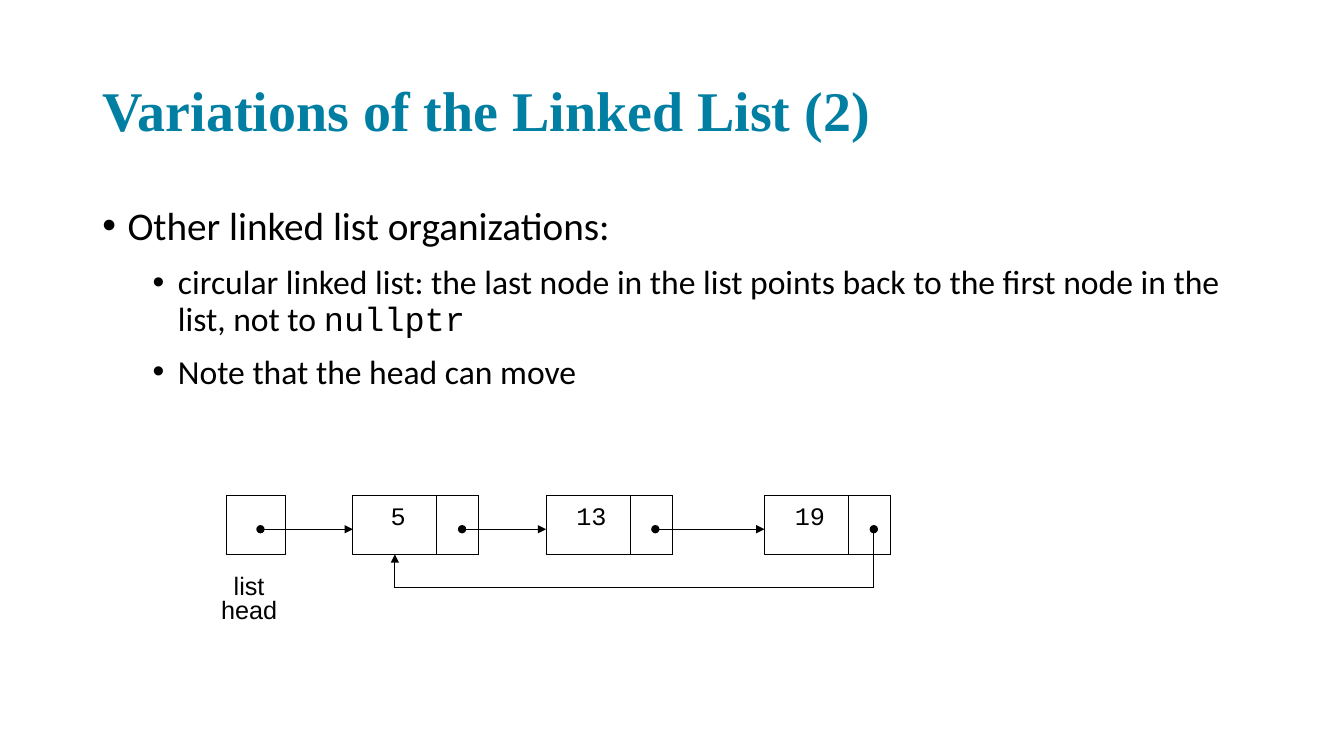
from dataclasses import dataclass

from lxml import etree
from pptx import Presentation
from pptx import util as u
from pptx.dml.color import RGBColor
from pptx.enum import shapes, text
from pptx.oxml.ns import qn


@dataclass
class Theme:
    teal: str = "007FA3"
    black: str = "000000"
    heading: str = "Times New Roman"
    body: str = "Calibri"
    code: str = "Courier New"
    label: str = "Arial"
    title_pt: int = 40
    main_pt: int = 28
    sub_pt: int = 24
    label_pt: int = 18
    line_pt: float = 0.75


class Deck:
    UNIT = u.Inches(1 / 12)

    def __init__(self, theme):
        self.t = theme
        self.prs = Presentation()
        self.prs.slide_width = u.Inches(13.33)
        self.prs.slide_height = u.Inches(7.5)
        self.s = self.prs.slides.add_slide(self.prs.slide_layouts[5])
        self.group = None

    def grid(self, *cells):
        return [u.Emu(round(c * self.UNIT)) for c in cells]

    def run(self, p, words, font, size, color=None, bold=False):
        r = p.add_run()
        r.text = words
        r.font.name, r.font.size, r.font.bold = font, u.Pt(size), bold
        r.font.color.rgb = RGBColor.from_string(color or self.t.black)

    def title(self, words, *cells):
        sp = self.s.shapes.title
        sp.left, sp.top, sp.width, sp.height = self.grid(*cells)
        tf = sp.text_frame
        tf.auto_size = text.MSO_AUTO_SIZE.NONE
        tf.vertical_anchor = text.MSO_ANCHOR.MIDDLE
        p = tf.paragraphs[0]
        p.alignment, p.line_spacing = text.PP_ALIGN.LEFT, 0.9
        self.run(p, words, self.t.heading, self.t.title_pt, self.t.teal, True)

    def bullets(self, items, *cells):
        tf = self.s.shapes.add_textbox(*self.grid(*cells)).text_frame
        tf.word_wrap = True
        for i, (level, runs) in enumerate(items):
            p = tf.add_paragraph() if i else tf.paragraphs[0]
            size = self.t.sub_pt if level else self.t.main_pt
            p.level, p.line_spacing = level, 0.9
            p.space_before = u.Pt(size / 2 if i else 0)
            for words, font in runs:
                self.run(p, words, font, size)
            pPr = p._p.get_or_add_pPr()
            pPr.set("marL", str(u.Inches(0.25 + 0.5 * level)))
            pPr.set("indent", str(u.Inches(-0.25)))
            etree.SubElement(pPr, qn("a:buFont"), typeface=self.t.label)
            etree.SubElement(pPr, qn("a:buChar"), char="•")

    def start_group(self):
        self.group = self.s.shapes.add_group_shape().shapes

    def stroke(self, line):
        line.color.rgb = RGBColor.from_string(self.t.black)
        line.width = u.Pt(self.t.line_pt)

    def box(self, *cells):
        sp = self.group.add_shape(shapes.MSO_SHAPE.RECTANGLE, *self.grid(*cells))
        sp.shadow.inherit = False
        sp.fill.background()
        self.stroke(sp.line)

    def label(self, lines, font, spacing, *cells):
        tf = self.group.add_textbox(*self.grid(*cells)).text_frame
        tf.word_wrap = False
        tf.auto_size = text.MSO_AUTO_SIZE.SHAPE_TO_FIT_TEXT
        for i, words in enumerate(lines):
            p = tf.add_paragraph() if i else tf.paragraphs[0]
            p.alignment, p.line_spacing = text.PP_ALIGN.CENTER, spacing
            self.run(p, words, font, self.t.label_pt)

    def line(self, start, end, dot=False, arrow=False):
        cx = self.group.add_connector(
            shapes.MSO_CONNECTOR.STRAIGHT, *self.grid(*start, *end))
        self.stroke(cx.line)
        ln = cx.line._get_or_add_ln()
        if dot:
            etree.SubElement(ln, qn("a:headEnd"), type="oval")
        if arrow:
            etree.SubElement(ln, qn("a:tailEnd"), type="triangle")
        etree.SubElement(cx._element.spPr, qn("a:effectLst"))


theme = Theme()
deck = Deck(theme)
deck.title("Variations of the Linked List (2)", 11, 4.8, 138, 17.4)
deck.bullets([
    (0, [("Other linked list organizations:", theme.body)]),
    (1, [("circular linked list: the last node in the list points back to "
          "the first node in the list, not to ", theme.body),
         ("nullptr", theme.code)]),
    (1, [("Note that the head can move", theme.body)]),
], 11, 24, 138, 57)

HEAD_X, TOP, HIGH = 27, 59, 7
NODE_WIDE, LINK_WIDE = 15, 5
DOT_Y, RETURN_Y, DOT_DX = TOP + 4, TOP + 11, 13
nodes = [(42, "5"), (65, "13"), (91, "19")]

deck.start_group()
deck.box(HEAD_X, TOP, HIGH, HIGH)
deck.label(["list", "head"], theme.label, 0.8, 25.1, 68, 9.1, 7.1)
dot_x = HEAD_X + 4
for x, value in nodes:
    deck.box(x, TOP, NODE_WIDE, HIGH)
    deck.box(x + NODE_WIDE - LINK_WIDE, TOP, LINK_WIDE, HIGH)
    deck.label([value], theme.code, 1.0, x + 2.4, TOP, 6, 4.8)
    deck.line((dot_x, DOT_Y), (x, DOT_Y), dot=True, arrow=True)
    dot_x = x + DOT_DX

back_x = nodes[0][0] + LINK_WIDE
deck.line((dot_x, DOT_Y), (dot_x, RETURN_Y), dot=True)
deck.line((dot_x, RETURN_Y), (back_x, RETURN_Y))
deck.line((back_x, RETURN_Y), (back_x, TOP + HIGH), arrow=True)

deck.prs.save("out.pptx")
